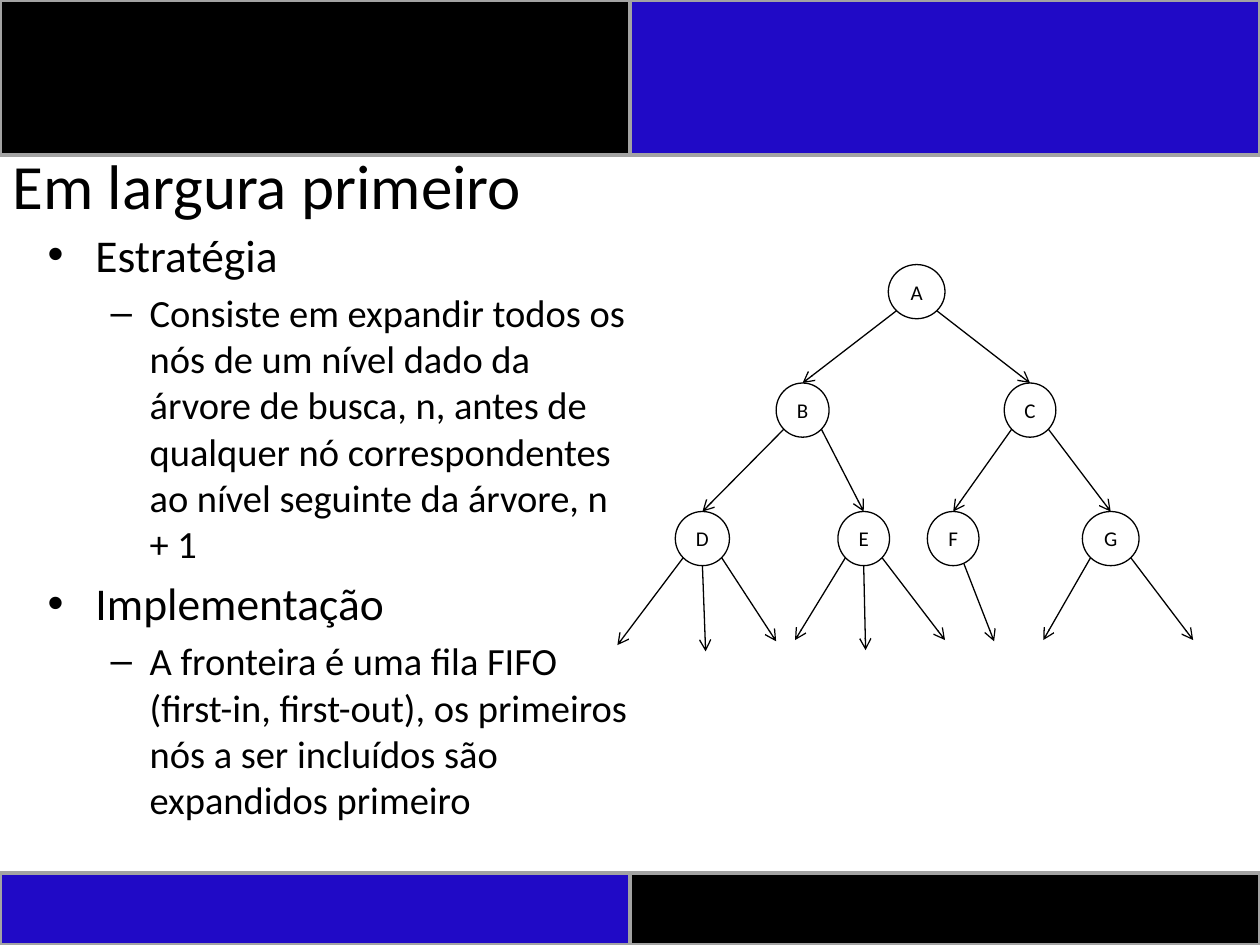
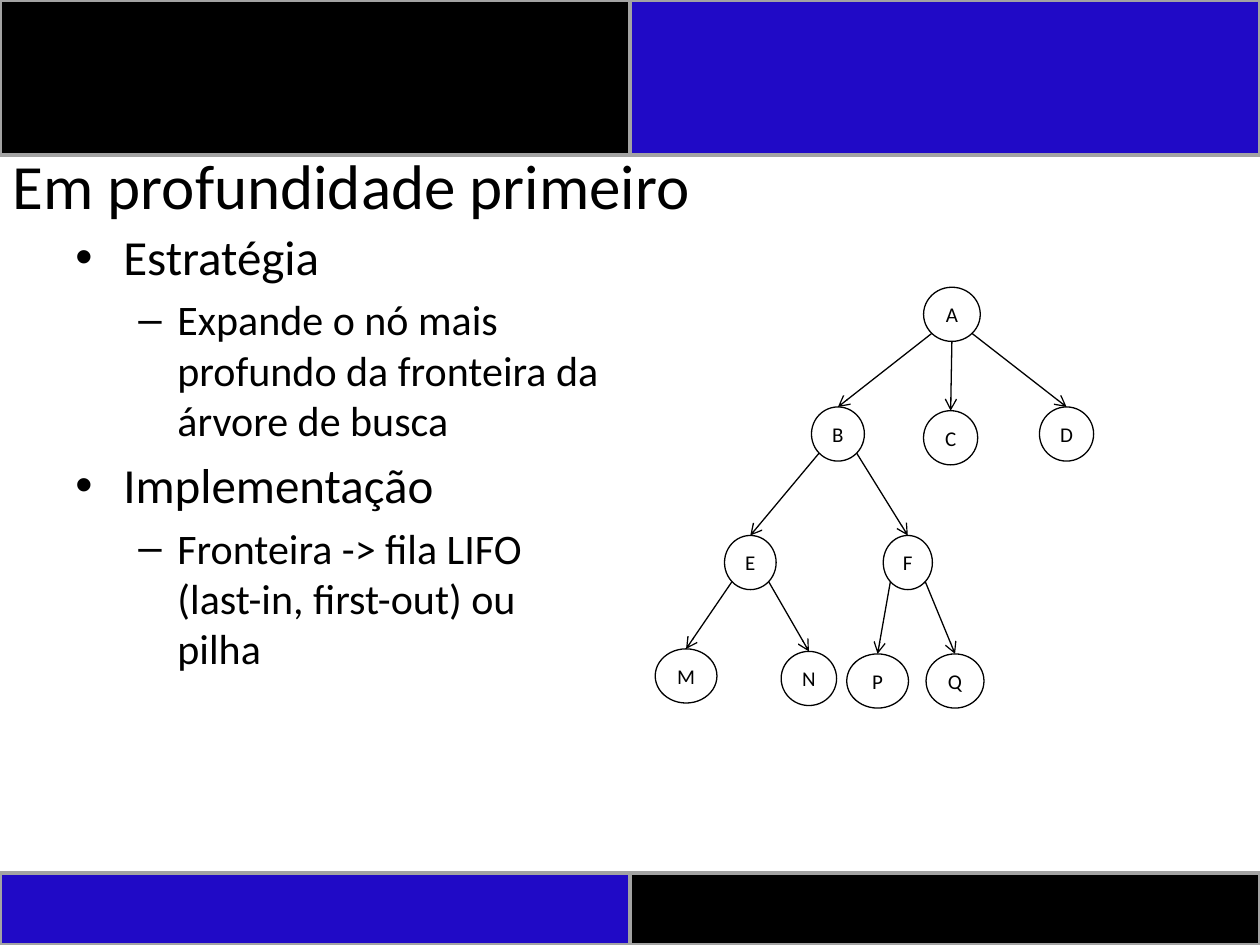
from dataclasses import dataclass
from math import sqrt

from lxml import etree
from pptx import Presentation
from pptx.dml.color import RGBColor
from pptx.enum.shapes import MSO_CONNECTOR, MSO_SHAPE
from pptx.enum.text import MSO_ANCHOR, MSO_AUTO_SIZE, PP_ALIGN
from pptx.oxml.ns import qn
from pptx.util import Inches, Pt

BLACK = RGBColor(0x00, 0x00, 0x00)
BLUE = RGBColor(0x20, 0x0A, 0xC6)
GREY = RGBColor(0xA3, 0xA3, 0xA3)

RECTANGLE = MSO_SHAPE.RECTANGLE
ELLIPSE = MSO_SHAPE.OVAL
STRAIGHT = MSO_CONNECTOR.STRAIGHT
MIDDLE_ANCHOR = MSO_ANCHOR.MIDDLE
NO_AUTOFIT = MSO_AUTO_SIZE.NONE
ALIGN_LEFT = PP_ALIGN.LEFT
ALIGN_CENTER = PP_ALIGN.CENTER

FONT = "Calibri"
TITLE_ONLY = 5
SLIDE_WIDTH, SLIDE_HEIGHT = 10, 7.5
HALF_WIDTH = SLIDE_WIDTH / 2
HEADER_HEIGHT, FOOTER_HEIGHT = 1.23, 0.57
TITLE_HEIGHT = 0.46
BODY_TOP, BODY_HEIGHT = 1.75, 4.95
NODE_HEIGHT = 0.43

# Where an arrow leaves its node, as a share of the node's half width
LEFT, MIDDLE, RIGHT = -0.71, 0, 0.71


@dataclass(frozen=True)
class Band:
    left: float
    top: float
    height: float
    color: RGBColor


@dataclass(frozen=True)
class BulletStyle:
    mark: str
    margin: float
    hanging: float


@dataclass(frozen=True)
class Node:
    name: str
    left: float
    top: float
    width: float


@dataclass(frozen=True)
class Edge:
    """An arrow from a node to a child node, or to a free point."""
    parent: str
    departure: float
    target: str | tuple[float, float]


@dataclass(frozen=True)
class SearchSlide:
    title: str
    body_left: float
    body_width: float
    level_sizes: tuple[int, int]
    strategy: str
    implementation: str
    nodes: list[Node]
    edges: list[Edge]


FOOTER_TOP = SLIDE_HEIGHT - FOOTER_HEIGHT
BANDS = [
    Band(HALF_WIDTH, FOOTER_TOP, FOOTER_HEIGHT, BLACK),
    Band(0, FOOTER_TOP, FOOTER_HEIGHT, BLUE),
    Band(0, 0, HEADER_HEIGHT, BLACK),
    Band(HALF_WIDTH, 0, HEADER_HEIGHT, BLUE),
]
BULLETS = [BulletStyle("•", 0.38, -0.38), BulletStyle("–", 0.81, -0.31)]

SEARCHES = [
    SearchSlide(
        "Em largura primeiro", 0.28, 4.8, (26, 22),
        "Consiste em expandir todos os nós de um nível dado da árvore de busca, n, "
        "antes de qualquer nó correspondentes ao nível seguinte da árvore, n + 1",
        "A fronteira é uma fila FIFO (first-in, first-out), os primeiros nós a ser "
        "incluídos são expandidos primeiro",
        [
            Node("A", 7.05, 2.1, 0.45),
            Node("B", 6.16, 3.04, 0.42),
            Node("C", 7.97, 3.04, 0.41),
            Node("D", 5.36, 4.06, 0.43),
            Node("E", 6.65, 4.06, 0.41),
            Node("F", 7.36, 4.06, 0.41),
            Node("G", 8.59, 4.06, 0.45),
        ],
        [
            Edge("A", LEFT, "B"),
            Edge("A", RIGHT, "C"),
            Edge("B", LEFT, "D"),
            Edge("B", RIGHT, "E"),
            Edge("C", LEFT, "F"),
            Edge("C", RIGHT, "G"),
            Edge("D", LEFT, (4.9, 5.12)),
            Edge("D", MIDDLE, (5.6, 5.17)),
            Edge("D", RIGHT, (6.16, 5.09)),
            Edge("E", LEFT, (6.31, 5.08)),
            Edge("E", MIDDLE, (6.87, 5.16)),
            Edge("E", RIGHT, (7.5, 5.08)),
            Edge("F", 0.41, (7.89, 5.09)),
            Edge("G", LEFT, (8.28, 5.08)),
            Edge("G", RIGHT, (9.47, 5.08)),
        ],
    ),
    SearchSlide(
        "Em profundidade primeiro", 0.5, 4.42, (28, 24),
        "Expande o nó mais profundo da fronteira da árvore de busca",
        "Fronteira -> fila LIFO (last-in, first-out) ou pilha",
        [
            Node("A", 7.33, 2.28, 0.45),
            Node("B", 6.44, 3.23, 0.42),
            Node("C", 7.33, 3.26, 0.43),
            Node("D", 8.25, 3.23, 0.43),
            Node("E", 5.75, 4.25, 0.41),
            Node("F", 7.01, 4.25, 0.39),
            Node("M", 5.2, 5.15, 0.49),
            Node("N", 6.2, 5.17, 0.44),
            Node("P", 6.72, 5.19, 0.49),
            Node("Q", 7.35, 5.19, 0.46),
        ],
        [
            Edge("A", LEFT, "B"),
            Edge("A", MIDDLE, "C"),
            Edge("A", RIGHT, "D"),
            Edge("B", LEFT, "E"),
            Edge("B", RIGHT, "F"),
            Edge("E", LEFT, "M"),
            Edge("E", RIGHT, "N"),
            Edge("F", LEFT, "P"),
            Edge("F", RIGHT, "Q"),
        ],
    ),
]


def set_attributes(target, **values) -> None:
    for name, value in values.items():
        setattr(target, name, value)


def add_run(paragraph, text: str, size: int) -> None:
    run = paragraph.add_run()
    run.text = text
    set_attributes(run.font, name=FONT, size=Pt(size))
    run.font.color.rgb = BLACK


def set_line(line, color: RGBColor, width: float) -> None:
    line.color.rgb = color
    line.width = Pt(width)


def add_band(slide, band: Band) -> None:
    shape = slide.shapes.add_shape(
        RECTANGLE, Inches(band.left), Inches(band.top),
        Inches(HALF_WIDTH), Inches(band.height))
    shape.shadow.inherit = False
    shape.fill.solid()
    shape.fill.fore_color.rgb = band.color
    set_line(shape.line, GREY, 2)


def set_title(slide, text: str) -> None:
    title = slide.shapes.title
    set_attributes(title, left=Inches(0), top=Inches(HEADER_HEIGHT),
                   width=Inches(SLIDE_WIDTH), height=Inches(TITLE_HEIGHT))
    set_attributes(title.text_frame, auto_size=NO_AUTOFIT,
                   vertical_anchor=MIDDLE_ANCHOR)
    paragraph = title.text_frame.paragraphs[0]
    paragraph.alignment = ALIGN_LEFT
    add_run(paragraph, text, 36)


def set_bullet(paragraph, style: BulletStyle) -> None:
    properties = paragraph._p.get_or_add_pPr()
    properties.set("marL", str(Inches(style.margin)))
    properties.set("indent", str(Inches(style.hanging)))
    etree.SubElement(properties, qn("a:buFont"), typeface="Arial")
    etree.SubElement(properties, qn("a:buChar"), char=style.mark)


def add_body(slide, search: SearchSlide) -> None:
    box = slide.shapes.add_textbox(
        Inches(search.body_left), Inches(BODY_TOP),
        Inches(search.body_width), Inches(BODY_HEIGHT))
    frame = box.text_frame
    frame.word_wrap = True
    entries = [(0, "Estratégia"), (1, search.strategy),
               (0, "Implementação"), (1, search.implementation)]
    for index, (level, text) in enumerate(entries):
        paragraph = frame.add_paragraph() if index else frame.paragraphs[0]
        size = search.level_sizes[level]
        set_attributes(paragraph, level=level, space_before=Pt(size * 0.2))
        set_bullet(paragraph, BULLETS[level])
        add_run(paragraph, text, size)


def add_node(slide, node: Node):
    shape = slide.shapes.add_shape(
        ELLIPSE, Inches(node.left), Inches(node.top),
        Inches(node.width), Inches(NODE_HEIGHT))
    shape.shadow.inherit = False
    shape.fill.background()
    set_line(shape.line, BLACK, 0.75)
    frame = shape.text_frame
    set_attributes(frame, word_wrap=False, vertical_anchor=MIDDLE_ANCHOR,
                   margin_left=0, margin_right=0, margin_top=0, margin_bottom=0)
    frame.paragraphs[0].alignment = ALIGN_CENTER
    add_run(frame.paragraphs[0], node.name, 12)
    return shape


def departure_point(node: Node, departure: float) -> tuple[float, float]:
    """Point on the lower half of the node's outline."""
    x = node.left + node.width / 2 * (1 + departure)
    y = node.top + NODE_HEIGHT / 2 * (1 + sqrt(1 - departure ** 2))
    return x, y


def add_arrow(slide, start: tuple[float, float], end: tuple[float, float]):
    connector = slide.shapes.add_connector(
        STRAIGHT, *(Inches(value) for value in (*start, *end)))
    set_line(connector.line, BLACK, 0.75)
    etree.SubElement(connector.line._get_or_add_ln(), qn("a:tailEnd"), type="arrow")
    etree.SubElement(connector._element.spPr, qn("a:effectLst"))
    return connector


def add_tree(slide, nodes: list[Node], edges: list[Edge]) -> None:
    node_by_name = {node.name: node for node in nodes}
    shape_by_name = {node.name: add_node(slide, node) for node in nodes}
    for edge in edges:
        start = departure_point(node_by_name[edge.parent], edge.departure)
        if isinstance(edge.target, str):
            child = node_by_name[edge.target]
            top_point = (child.left + child.width / 2, child.top)
            arrow = add_arrow(slide, start, top_point)
            arrow.end_connect(shape_by_name[edge.target], 0)
        else:
            add_arrow(slide, start, edge.target)


def add_search_slide(presentation, search: SearchSlide) -> None:
    slide = presentation.slides.add_slide(presentation.slide_layouts[TITLE_ONLY])
    for band in BANDS:
        add_band(slide, band)
    set_title(slide, search.title)
    add_body(slide, search)
    add_tree(slide, search.nodes, search.edges)


def main() -> None:
    presentation = Presentation()
    set_attributes(presentation, slide_width=Inches(SLIDE_WIDTH),
                   slide_height=Inches(SLIDE_HEIGHT))
    for search in SEARCHES:
        add_search_slide(presentation, search)
    presentation.save("out.pptx")


if __name__ == "__main__":
    main()
